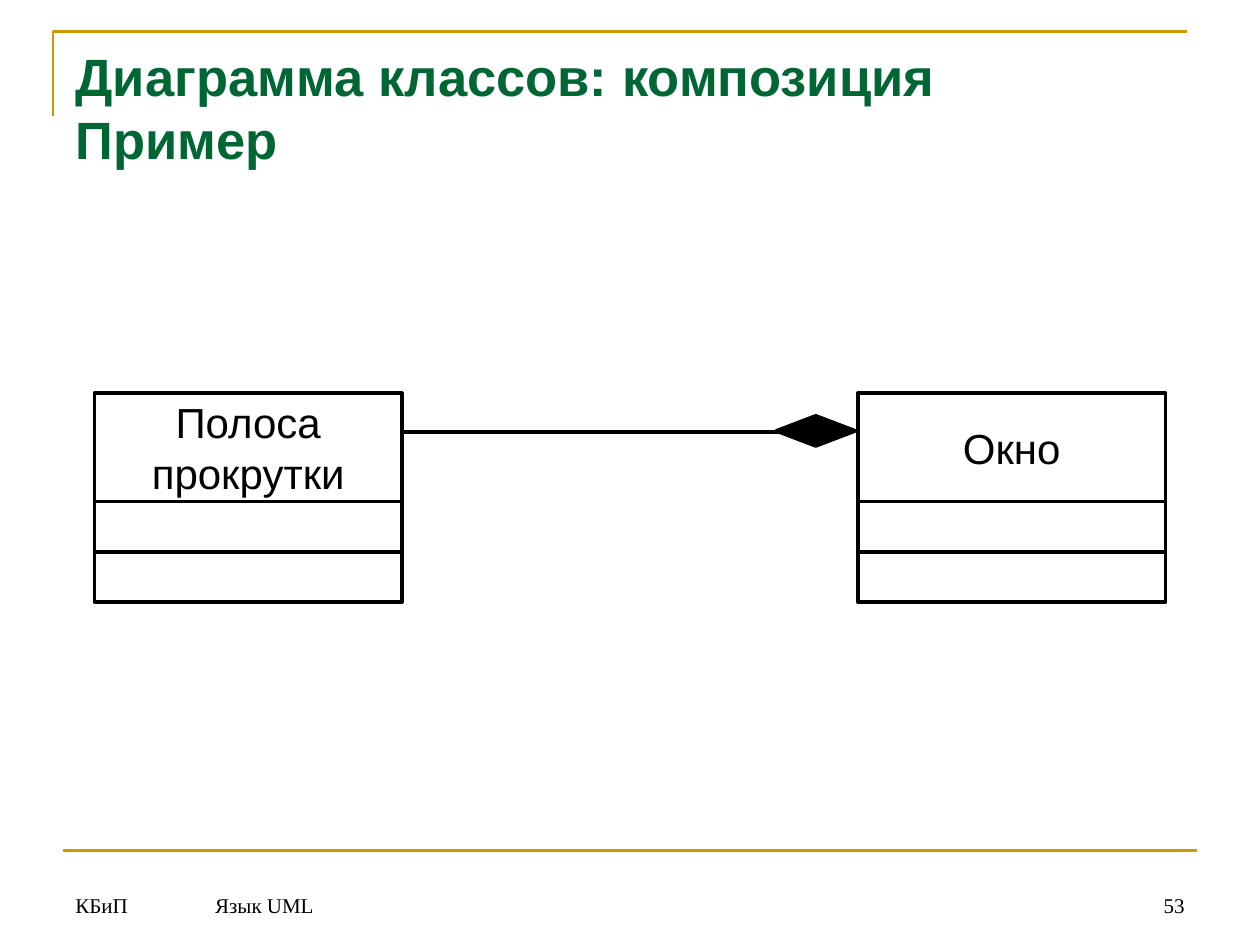
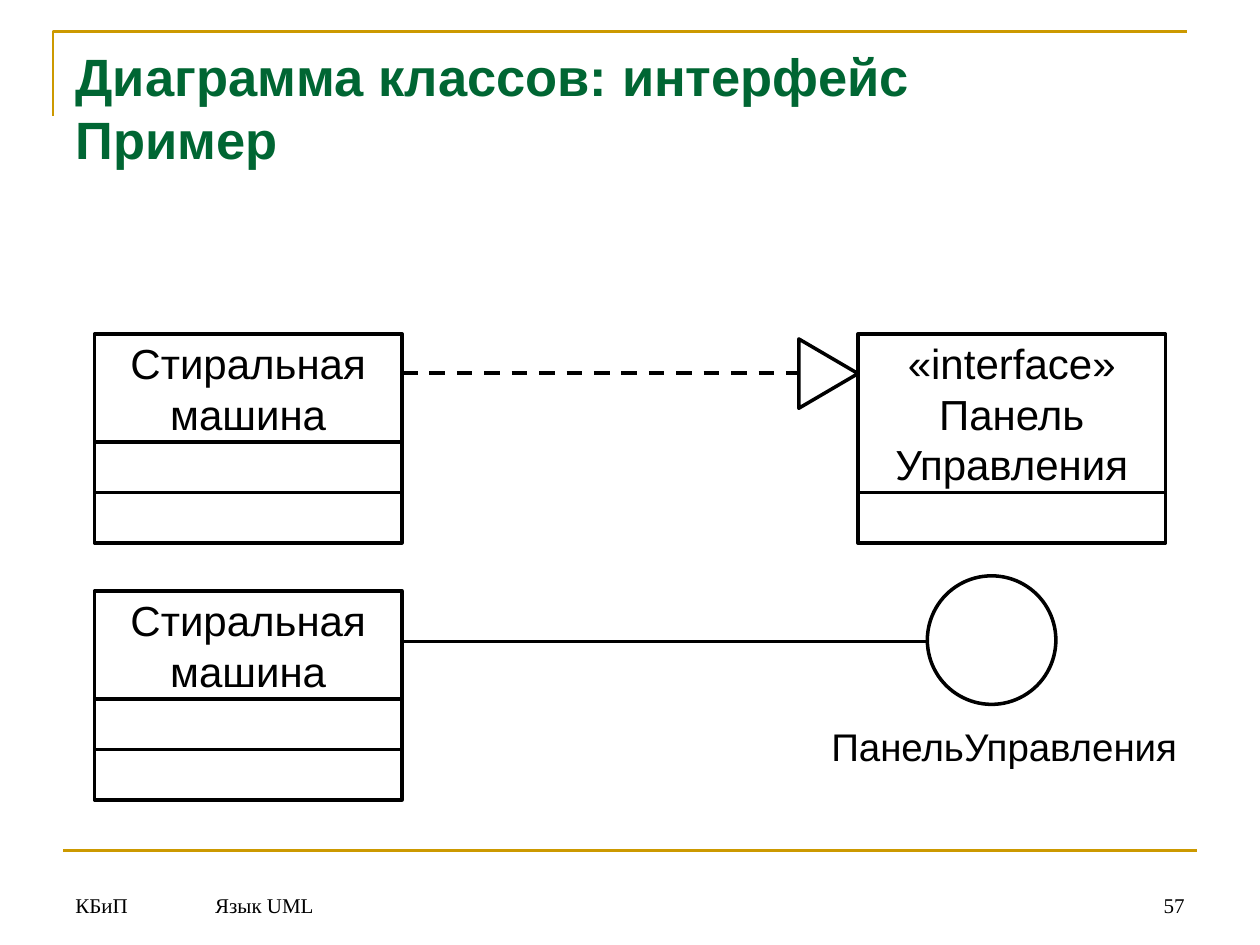
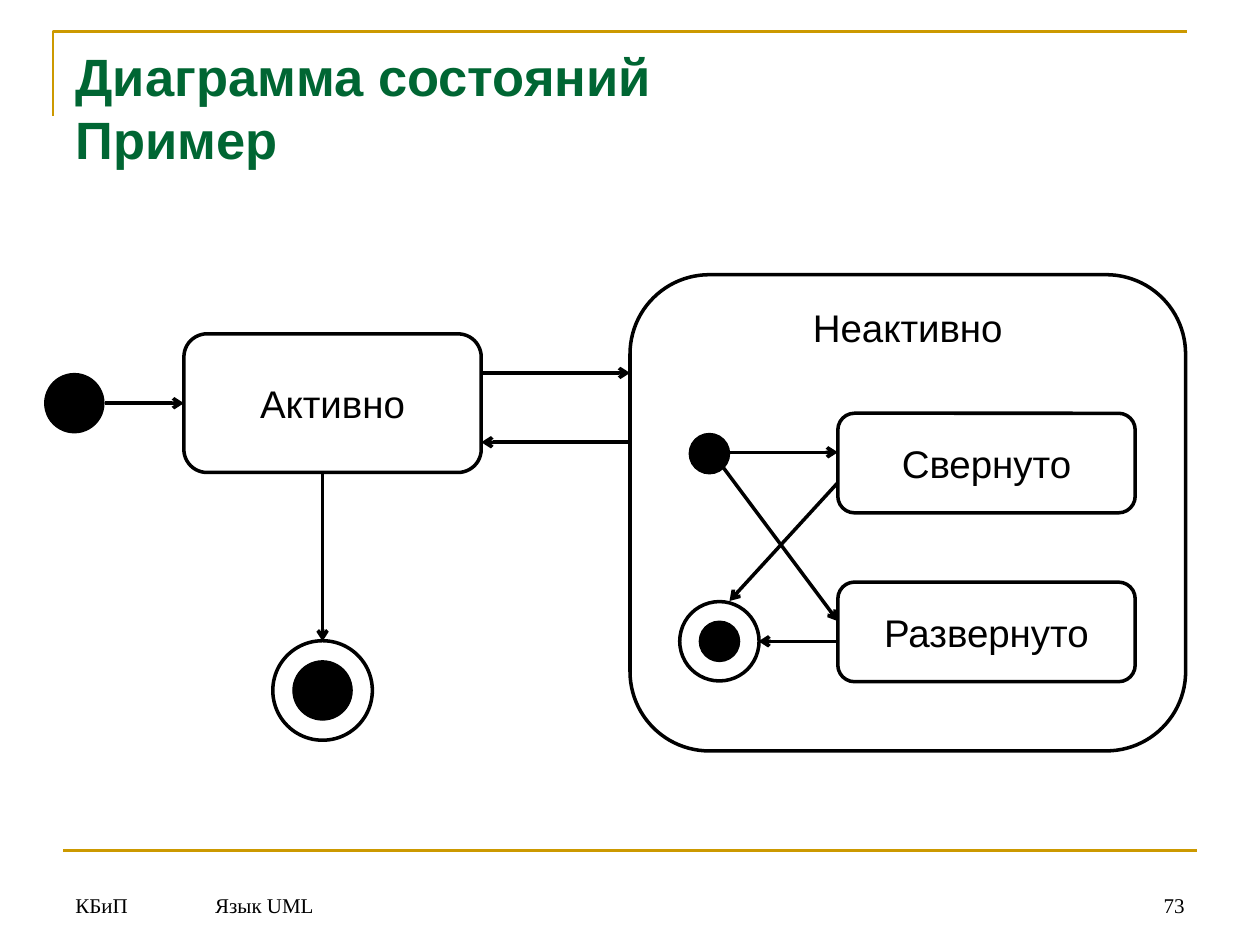
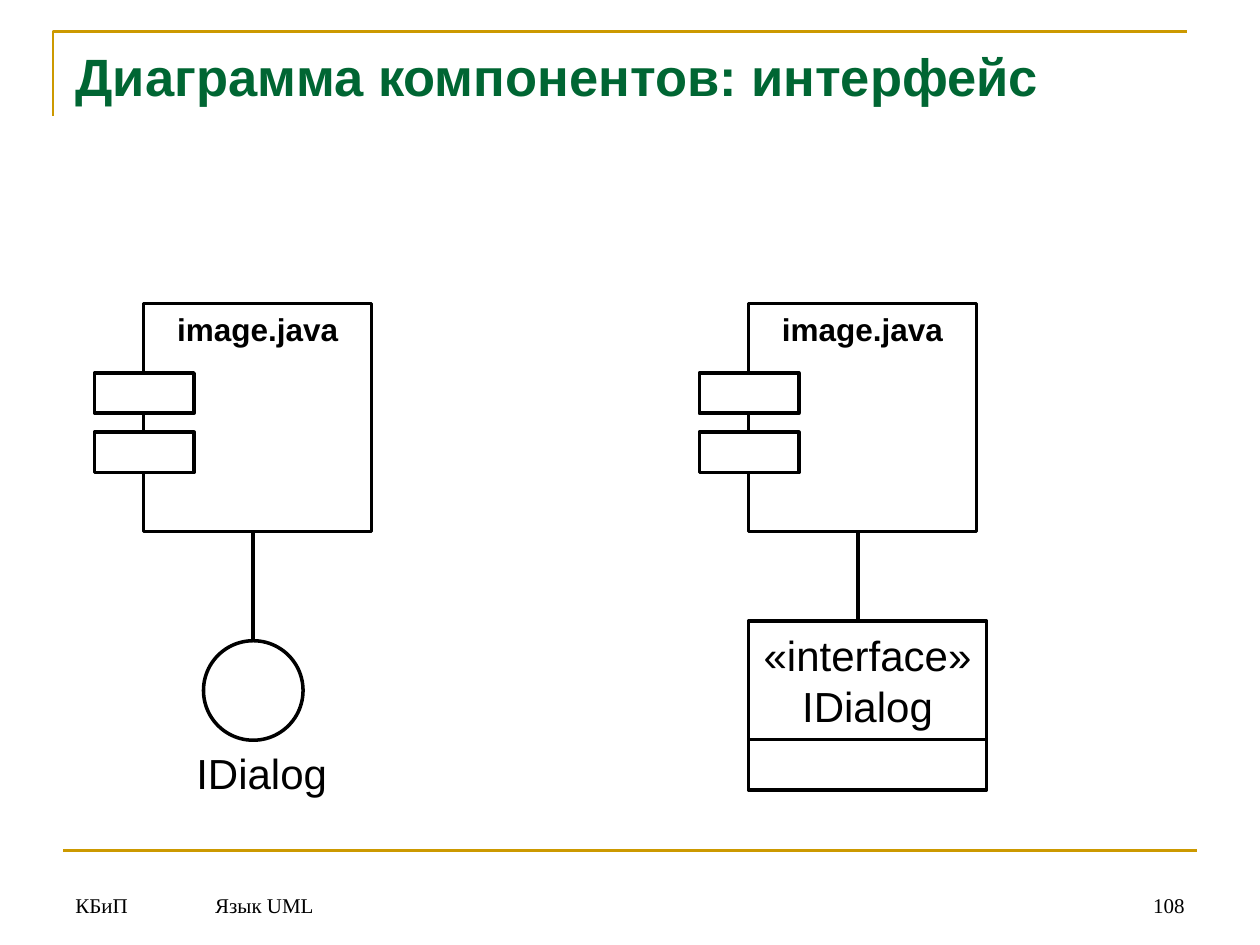
from dataclasses import dataclass

from lxml import etree
from pptx import Presentation
from pptx import util as u
from pptx.dml.color import RGBColor
from pptx.enum import dml, shapes, text
from pptx.oxml import ns

SHAPE = shapes.MSO_SHAPE
ALIGN = text.PP_ALIGN
ANCHOR = text.MSO_ANCHOR


@dataclass(frozen=True)
class Theme:
    title_color: str = "006633"
    accent: str = "CC9900"
    ink: str = "000000"
    paper: str = "FFFFFF"
    font: str = "Arial"
    footer_font: str = "Times New Roman"
    title_size: float = 30
    class_size: float = 24
    state_size: float = 22
    component_size: float = 18
    footer_size: float = 12
    outline: float = 2
    thick: float = 2.25
    thin: float = 0.75
    band: float = 1.5


class UmlDeck:
    """Holds the style and the current slide."""

    ROW = 0.4  # height of an empty class compartment

    def __init__(self, theme):
        self.theme = theme
        self.deck = Presentation()
        self.deck.slide_width = u.Inches(10)
        self.deck.slide_height = u.Inches(7.5)
        self.page = None

    # Shared frame of every slide
    def new_page(self, number, *title_lines):
        self.page = self.deck.slides.add_slide(self.deck.slide_layouts[5])
        self.bands()
        self.label(0.5, 6.83, 0.96, 0.5, "КБиП", footer=True)
        self.label(1.61, 6.83, 7.24, 0.5, "Язык UML", footer=True)
        self.label(8.94, 6.83, 0.56, 0.5, str(number), footer=True, align=ALIGN.RIGHT)
        self.title(title_lines)

    def bands(self):
        builder = self.page.shapes.build_freeform(u.Inches(0.42), u.Inches(0.92))
        corner = [(u.Inches(0.42), u.Inches(0.25)), (u.Inches(9.42), u.Inches(0.25))]
        builder.add_line_segments(corner, close=False)
        self.paint(builder.convert_to_shape(), None, self.theme.accent, self.theme.band)
        self.line((0.5, 6.75), (9.5, 6.75), self.theme.band, color=self.theme.accent)

    def title(self, lines):
        box = self.page.shapes.title
        box.left, box.top = u.Inches(0.5), u.Inches(0.3)
        box.width, box.height = u.Inches(9), u.Inches(1.25)
        frame = box.text_frame
        frame.auto_size = text.MSO_AUTO_SIZE.NONE
        frame.vertical_anchor = ANCHOR.TOP
        para = frame.paragraphs[0]
        para.alignment = ALIGN.LEFT
        for index, line in enumerate(lines):
            if index:
                para.add_line_break()
            para.add_run().text = line
        self.style(para, self.theme.title_size, self.theme.title_color, bold=True)

    # Styling helpers
    def style(self, para, size, color=None, font=None, bold=False):
        for target in [para, *para.runs]:
            target.font.name = font or self.theme.font
            target.font.size = u.Pt(size)
            target.font.bold = bold
            target.font.color.rgb = RGBColor.from_string(color or self.theme.ink)

    def paint(self, shape, fill, color, width):
        shape.shadow.inherit = False
        if fill:
            shape.fill.solid()
            shape.fill.fore_color.rgb = RGBColor.from_string(fill)
        else:
            shape.fill.background()
        shape.line.color.rgb = RGBColor.from_string(color)
        shape.line.width = u.Pt(width)

    # Basic elements
    def label(self, left, top, width, height, words, size=None, footer=False, align=ALIGN.LEFT):
        box = self.page.shapes.add_textbox(*map(u.Inches, (left, top, width, height)))
        frame = box.text_frame
        frame.text = words
        frame.word_wrap = footer
        para = frame.paragraphs[0]
        para.alignment = align
        if footer:
            frame.vertical_anchor = ANCHOR.BOTTOM
            self.style(para, self.theme.footer_size, font=self.theme.footer_font)
        else:
            frame.auto_size = text.MSO_AUTO_SIZE.SHAPE_TO_FIT_TEXT
            self.style(para, size)

    def shape(self, kind, left, top, width, height, words="", size=None, fill=None,
              outline=None, anchor=ANCHOR.MIDDLE, bold=False):
        box = self.page.shapes.add_shape(kind, *map(u.Inches, (left, top, width, height)))
        self.paint(box, fill, self.theme.ink, outline or self.theme.outline)
        if words:
            frame = box.text_frame
            frame.text = words
            frame.word_wrap = False
            frame.vertical_anchor = anchor
            for para in frame.paragraphs:
                para.alignment = ALIGN.CENTER
                self.style(para, size, bold=bold)
        return box

    def line(self, start, end, width=None, color=None, dashed=False, arrow=False):
        link = self.page.shapes.add_connector(
            shapes.MSO_CONNECTOR.STRAIGHT, *map(u.Inches, (*start, *end)))
        link.line.color.rgb = RGBColor.from_string(color or self.theme.ink)
        link.line.width = u.Pt(width or self.theme.outline)
        if dashed:
            link.line.dash_style = dml.MSO_LINE.DASH
        properties = link._element.spPr
        if arrow:
            outline = properties.find(ns.qn("a:ln"))
            etree.SubElement(outline, ns.qn("a:tailEnd")).set("type", "arrow")
        etree.SubElement(properties, ns.qn("a:effectLst"))

    # UML elements
    def class_box(self, left, top, words, width=2.44, name_height=0.86, rows=2):
        self.shape(SHAPE.RECTANGLE, left, top, width, name_height, words, self.theme.class_size)
        for row in range(rows):
            self.shape(SHAPE.RECTANGLE, left, top + name_height + row * self.ROW, width, self.ROW)

    def circle(self, x, y, diameter):
        self.shape(SHAPE.OVAL, x - diameter / 2, y - diameter / 2, diameter, diameter)

    def dot(self, x, y, diameter):
        self.shape(SHAPE.OVAL, x - diameter / 2, y - diameter / 2, diameter, diameter,
                   fill=self.theme.ink, outline=self.theme.thin)

    def final_state(self, x, y, inner, outer):
        self.dot(x, y, inner)
        self.circle(x, y, outer)

    def state(self, left, top, width, height, words, anchor=ANCHOR.MIDDLE):
        self.shape(SHAPE.ROUNDED_RECTANGLE, left, top, width, height, words,
                   self.theme.state_size, anchor=anchor)

    def component(self, left, words):
        self.shape(SHAPE.RECTANGLE, left, 2.41, 1.81, 1.81, words,
                   self.theme.component_size, anchor=ANCHOR.TOP, bold=True)
        for top in (2.96, 3.43):
            self.shape(SHAPE.RECTANGLE, left - 0.39, top, 0.79, 0.32, fill=self.theme.paper)


def composition(uml):
    uml.new_page(53, "Диаграмма классов: композиция", "Пример")
    uml.line((3.19, 3.43), (6.18, 3.43), uml.theme.thick)
    uml.class_box(0.75, 3.12, "Полоса\nпрокрутки")
    uml.class_box(6.81, 3.12, "Окно")
    uml.shape(SHAPE.DIAMOND, 6.16, 3.3, 0.63, 0.24, fill=uml.theme.ink)


def class_interface(uml):
    uml.new_page(57, "Диаграмма классов: интерфейс", "Пример")
    # Realization arrow to a full interface
    uml.line((3.19, 2.96), (6.34, 2.96), uml.theme.thick, dashed=True)
    uml.class_box(0.75, 2.65, "Стиральная\nмашина")
    uml.class_box(6.81, 2.65, "«interface»\nПанель\nУправления", name_height=1.26, rows=1)
    uml.shape(SHAPE.ISOSCELES_TRIANGLE, 6.3, 2.73, 0.55, 0.47).rotation = 90
    # Short circle notation
    uml.class_box(0.75, 4.69, "Стиральная\nмашина")
    uml.circle(7.87, 5.08, 1.02)
    uml.label(6.5, 5.69, 2.97, 0.47, "ПанельУправления", uml.theme.state_size)
    uml.line((3.19, 5.09), (7.36, 5.09))


def states(uml):
    uml.new_page(73, "Диаграмма состояний", "Пример")
    # Outer states
    uml.state(1.46, 2.65, 2.36, 1.1, "Активно")
    uml.state(5, 2.18, 4.41, 3.78, "Неактивно", anchor=ANCHOR.TOP)
    uml.dot(0.59, 3.2, 0.47)
    uml.final_state(2.56, 5.48, 0.47, 0.79)
    # Nested states
    for top, words in ((3.28, "Свернуто"), (4.62, "Развернуто")):
        uml.state(6.65, top, 2.36, 0.79, words)
    uml.dot(5.63, 3.6, 0.32)
    uml.final_state(5.71, 5.09, 0.32, 0.63)
    # Transitions
    transitions = (
        ((0.83, 3.2), (1.46, 3.2)),
        ((2.56, 3.75), (2.56, 5.09)),
        ((3.82, 2.96), (5, 2.96)),
        ((5, 3.51), (3.82, 3.51)),
        ((5.79, 3.59), (6.65, 3.59)),
        ((5.71, 3.67), (6.65, 4.93)),
        ((6.65, 3.83), (5.79, 4.77)),
        ((6.65, 5.09), (6.02, 5.09)),
    )
    for start, end in transitions:
        uml.line(start, end, arrow=True)


def component_interface(uml):
    uml.new_page(108, "Диаграмма компонентов: интерфейс")
    for left in (1.14, 5.94):
        uml.component(left, "image.java")
    uml.circle(2.01, 5.48, 0.79)
    uml.class_box(5.94, 4.93, "«interface»\nIDialog", width=1.89, name_height=0.94, rows=1)
    uml.label(1.46, 5.88, 1.24, 0.5, "IDialog", uml.theme.class_size)
    uml.line((2.01, 4.22), (2.01, 5.09))
    uml.line((6.81, 4.22), (6.81, 4.93))


def main():
    uml = UmlDeck(Theme())
    for build in (composition, class_interface, states, component_interface):
        build(uml)
    uml.deck.save("out.pptx")


if __name__ == "__main__":
    main()
